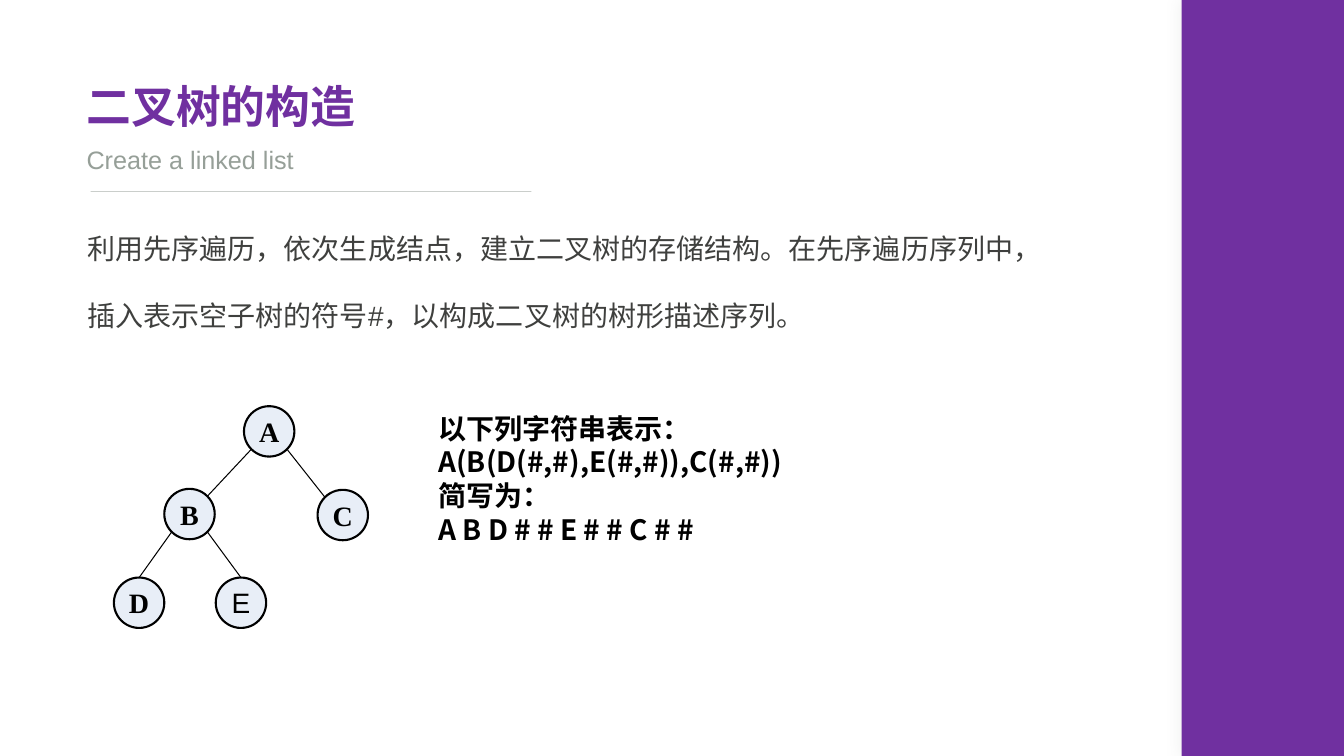
import math
import pptx
import pptx.util
import pptx.dml.color
import pptx.enum.shapes
import pptx.enum.text
import pptx.oxml
import pptx.oxml.ns
from pptx.util import Inches

PURPLE, GREY, BODY, BLACK, NODE_FILL = "7030A0", "969F98", "3F403E", "000000", "E8EEF7"
CJK_FONT = "Noto Sans CJK SC"

# left, top, width, height, lines, style, wrap, line spacing
TEXTS = [
    (0.77, 1.91, 9.93, 1.35,
     ["利用先序遍历，依次生成结点，建立二叉树的存储结构。在先序遍历序列中，插入表示空子树的符号#，以构成二叉树的树形描述序列。"],
     ("Arial", 20, BODY, False), True, 2.0),
    (0.76, 0.73, 2.89, 0.64, ["二叉树的构造"], ("Arial", 32, PURPLE, True), False, None),
    (0.76, 1.38, 2.75, 0.4, ["Create a linked list"], ("Arial", 18, GREY, False), True, None),
    (4.25, 4.03, 4.46, 1.45,
     ["以下列字符串表示：", "A(B(D(#,#),E(#,#)),C(#,#))", "简写为：", "A B D # # E # # C # #"],
     (CJK_FONT, 20, BLACK, True), True, None),
]

NODE_SIZE = 0.5
BOLD_NODE = ("Times New Roman", 20, BLACK, True)
PLAIN_NODE = ("Arial", 20, BLACK, False)
NODES = {  # left, top, style
    "A": (2.42, 4.03, BOLD_NODE),
    "B": (1.63, 4.85, BOLD_NODE),
    "C": (3.15, 4.86, BOLD_NODE),
    "D": (1.13, 5.73, BOLD_NODE),
    "E": (2.14, 5.73, PLAIN_NODE),
}
# parent, angle leaving it, child, angle reaching it (degrees, clockwise from right)
EDGES = [
    ("A", 135, "B", 315),
    ("A", 45, "C", 225),
    ("B", 135, "D", 270),
    ("B", 45, "E", 270),
]


def color(hex_text):
    return pptx.dml.color.RGBColor.from_string(hex_text)


def add_effects(shape, inner=""):
    """Give the shape its own effect list, empty unless inner XML is passed."""
    namespace = pptx.oxml.ns.nsdecls("a")
    shape._element.spPr.append(
        pptx.oxml.parse_xml(f"<a:effectLst {namespace}>{inner}</a:effectLst>"))


def write(frame, lines, style, align=None, spacing=None):
    font_name, size, font_color, bold = style
    frame.text = "\n".join(lines)
    for para in frame.paragraphs:
        para.alignment = align
        para.line_spacing = spacing
        for span in para.runs:
            span.font.name = font_name
            span.font.size = pptx.util.Pt(size)
            span.font.bold = bold
            span.font.color.rgb = color(font_color)
            east_asian = pptx.oxml.parse_xml(
                f'<a:ea {pptx.oxml.ns.nsdecls("a")} typeface="{CJK_FONT}"/>')
            span.font._element.find(pptx.oxml.ns.qn("a:latin")).addnext(east_asian)


def add_line(shapes, start, end, line_color, width):
    points = [Inches(value) for value in (*start, *end)]
    line = shapes.add_connector(pptx.enum.shapes.MSO_CONNECTOR.STRAIGHT, *points)
    line.line.color.rgb = color(line_color)
    line.line.width = pptx.util.Pt(width)
    add_effects(line)
    return line


def rim_point(name, degrees):
    """Point on the circle of a node at the given angle."""
    left, top, _ = NODES[name]
    radius, angle = NODE_SIZE / 2, math.radians(degrees)
    return (left + radius + radius * math.cos(angle),
            top + radius + radius * math.sin(angle))


def add_node(shapes, name):
    left, top, style = NODES[name]
    node = shapes.add_shape(pptx.enum.shapes.MSO_SHAPE.OVAL, Inches(left), Inches(top),
                            Inches(NODE_SIZE), Inches(NODE_SIZE))
    node.shadow.inherit = False
    node.fill.solid()
    node.fill.fore_color.rgb = color(NODE_FILL)
    node.line.color.rgb = color(BLACK)
    node.line.width = pptx.util.Pt(1.5)
    node.text_frame.word_wrap = False
    node.text_frame.vertical_anchor = pptx.enum.text.MSO_ANCHOR.MIDDLE
    write(node.text_frame, [name], style, pptx.enum.text.PP_ALIGN.CENTER)


def main():
    deck = pptx.Presentation()
    deck.slide_width, deck.slide_height = Inches(13.33), Inches(7.5)
    page = deck.slides.add_slide(deck.slide_layouts[6])

    for left, top, width, height, lines, style, wrap, spacing in TEXTS:
        box = page.shapes.add_textbox(Inches(left), Inches(top), Inches(width), Inches(height))
        box.text_frame.word_wrap = wrap
        box.text_frame.auto_size = pptx.enum.text.MSO_AUTO_SIZE.SHAPE_TO_FIT_TEXT
        write(box.text_frame, lines, style, spacing=spacing)

    rule = add_line(page.shapes, (5.27, 1.9), (0.9, 1.9), GREY, 0.5)
    rule_color = rule.line._ln.find(".//" + pptx.oxml.ns.qn("a:srgbClr"))
    rule_color.append(pptx.oxml.parse_xml(
        f'<a:alpha {pptx.oxml.ns.nsdecls("a")} val="50000"/>'))

    panel = page.shapes.add_shape(pptx.enum.shapes.MSO_SHAPE.RECTANGLE,
                                  Inches(11.72), 0, Inches(1.61), Inches(7.5))
    panel.fill.solid()
    panel.fill.fore_color.rgb = color(PURPLE)
    panel.line.fill.background()
    add_effects(panel, f'<a:outerShdw blurRad="{pptx.util.Pt(10)}" dist="0" dir="0">'
                       '<a:srgbClr val="D5D7D5"><a:alpha val="40000"/></a:srgbClr>'
                       '</a:outerShdw>')

    tree = page.shapes.add_group_shape()
    for parent, leaving, child, reaching in EDGES:
        add_line(tree.shapes, rim_point(parent, leaving), rim_point(child, reaching), BLACK, 0.75)
    for name in NODES:
        add_node(tree.shapes, name)

    deck.save("out.pptx")


if __name__ == "__main__":
    main()
